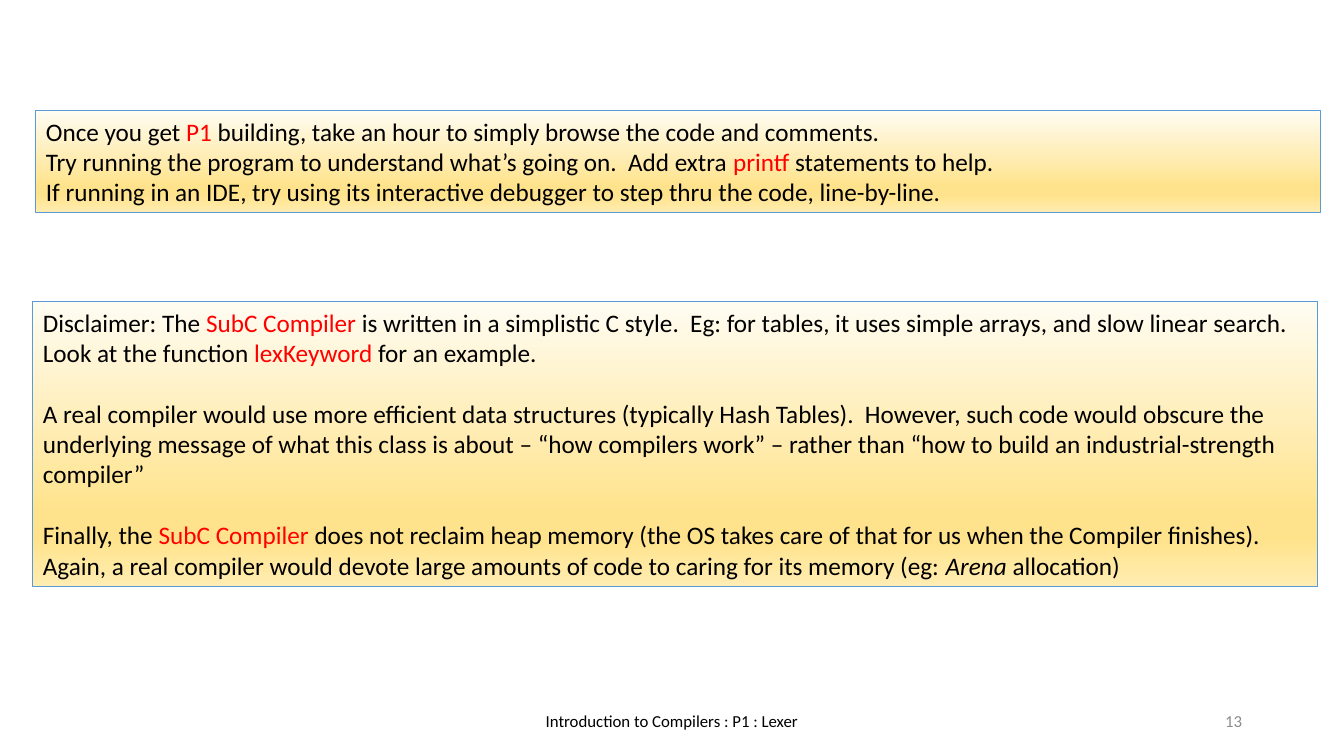
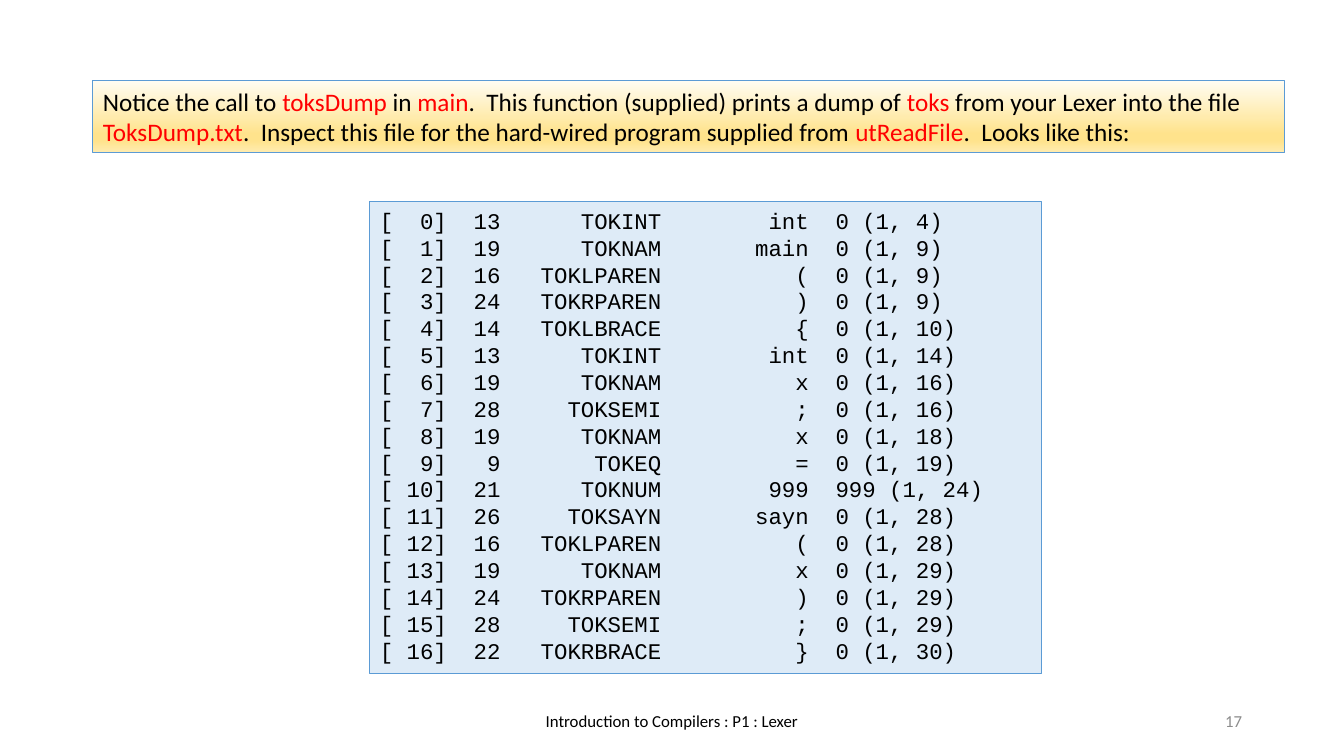
import collections
import lxml.etree
import pptx
import pptx.dml.color
import pptx.enum.shapes
import pptx.enum.text
import pptx.oxml.ns
import pptx.util

RGB = pptx.dml.color.RGBColor
ALIGN = pptx.enum.text.PP_ALIGN
ANCHOR = pptx.enum.text.MSO_ANCHOR
qn = pptx.oxml.ns.qn

BLACK = RGB(0x00, 0x00, 0x00)
RED = RGB(0xFF, 0x00, 0x00)
GREY = RGB(0x8C, 0x8C, 0x8C)
BLUE = RGB(0x5B, 0x9B, 0xD5)
PALE_BLUE = RGB(0xDE, 0xEB, 0xF7)
CREAM = RGB(0xFF, 0xFC, 0xF2)
GOLD = RGB(0xFF, 0xE3, 0x8C)
SAND = RGB(0xFF, 0xEC, 0xB2)
GOLD_STOPS = [(0, CREAM), (74, GOLD), (83, GOLD), (100, SAND)]
EMU_PER_PIXEL = 914400 / 100.8

Piece = collections.namedtuple("Piece", "text color italic", defaults=(BLACK, False))


def px(pixels):
    return pptx.util.Emu(round(pixels * EMU_PER_PIXEL))


def red(text):
    return Piece(text, RED)


class Deck:
    """Holds the presentation style and the slide being built."""

    BODY_FONT, CODE_FONT = "Calibri", "Courier New"
    BODY_SIZE, CODE_SIZE, FOOTER_SIZE = 18, 16, 12
    FOOTER = "Introduction to Compilers : P1 : Lexer"

    def __init__(self):
        self.prs = pptx.Presentation()
        self.prs.slide_width, self.prs.slide_height = px(1344), px(756)

    def new_slide(self, number):
        self.slide = self.prs.slides.add_slide(self.prs.slide_layouts[6])
        self.footer((445, 701, 454, 40), self.FOOTER, BLACK, ALIGN.CENTER)
        self.footer((950, 701, 302, 40), str(number), GREY, ALIGN.RIGHT)

    def style(self, run, font, size, color, italic=False):
        run.font.name, run.font.size = font, pptx.util.Pt(size)
        run.font.color.rgb = color
        run.font.italic = italic

    def footer(self, box, text, color, align):
        frame = self.slide.shapes.add_textbox(*map(px, box)).text_frame
        frame.word_wrap = True
        frame.vertical_anchor = ANCHOR.MIDDLE
        frame.text = text
        frame.paragraphs[0].alignment = align
        self.style(frame.paragraphs[0].runs[0], self.BODY_FONT, self.FOOTER_SIZE, color)

    def panel(self, box):
        panel = self.slide.shapes.add_shape(
            pptx.enum.shapes.MSO_SHAPE.RECTANGLE, *map(px, box))
        panel.shadow.inherit = False
        panel.line.color.rgb = BLUE
        panel.line.width = pptx.util.Pt(0.75)
        frame = panel.text_frame
        frame.word_wrap = True
        frame.auto_size = pptx.enum.text.MSO_AUTO_SIZE.SHAPE_TO_FIT_TEXT
        frame.vertical_anchor = ANCHOR.TOP
        return panel

    def gold_fill(self, panel):
        panel.fill.gradient()
        panel.fill.gradient_angle = 270
        stops = panel.element.spPr.find(qn("a:gradFill")).find(qn("a:gsLst"))
        for old in list(stops):
            stops.remove(old)
        for percent, color in GOLD_STOPS:
            stop = lxml.etree.SubElement(stops, qn("a:gs"), pos=str(percent * 1000))
            lxml.etree.SubElement(stop, qn("a:srgbClr"), val=str(color))

    def note(self, box, paragraphs, gap=0):
        panel = self.panel(box)
        self.gold_fill(panel)
        frame = panel.text_frame
        for index, pieces in enumerate(paragraphs):
            paragraph = frame.add_paragraph() if index else frame.paragraphs[0]
            paragraph.alignment = ALIGN.LEFT
            paragraph.space_before = pptx.util.Pt(gap if index else 0)
            for piece in pieces:
                piece = Piece(piece) if isinstance(piece, str) else piece
                run = paragraph.add_run()
                run.text = piece.text
                self.style(run, self.BODY_FONT, self.BODY_SIZE, piece.color, piece.italic)

    def listing(self, box, lines):
        panel = self.panel(box)
        panel.fill.solid()
        panel.fill.fore_color.rgb = PALE_BLUE
        panel.text_frame.text = "\n".join(lines)
        for paragraph in panel.text_frame.paragraphs:
            paragraph.alignment = ALIGN.LEFT
            self.style(paragraph.runs[0], self.CODE_FONT, self.CODE_SIZE, BLACK)


TOKENS = [
    (13, "INT", "int", 4), (19, "NAM", "main", 9), (16, "LPAREN", "(", 9),
    (24, "RPAREN", ")", 9), (14, "LBRACE", "{", 10), (13, "INT", "int", 14),
    (19, "NAM", "x", 16), (28, "SEMI", ";", 16), (19, "NAM", "x", 18),
    (9, "EQ", "=", 19), (21, "NUM", "999", 24), (26, "SAYN", "sayn", 28),
    (16, "LPAREN", "(", 28), (19, "NAM", "x", 29), (24, "RPAREN", ")", 29),
    (28, "SEMI", ";", 29), (22, "RBRACE", "}", 30),
]


def dump_line(index, code, kind, lexeme, column):
    value = lexeme if lexeme.isdigit() else 0
    return f"[{index:3}]  {code:2} {'TOK' + kind:>11} {lexeme:>10}  {value} (1, {column})"


deck = Deck()

deck.new_slide(13)
deck.note((36, 111, 1285, 102), [
    ["Once you get ", red("P1"),
     " building, take an hour to simply browse the code and comments."],
    ["Try running the program to understand what’s going on.  Add extra ",
     red("printf"), " statements to help."],
    ["If running in an IDE, try using its interactive debugger to step thru the code, "
     "line-by-line."],
])
deck.note((33, 302, 1285, 285), [
    ["Disclaimer: The ", red("SubC Compiler "),
     "is written in a simplistic C style.  Eg: for tables, it uses simple arrays, "
     "and slow linear search.  Look at the function ",
     red("lexKeyword "), "for an example."],
    ["A real compiler would use more efficient data structures (typically Hash Tables).  "
     "However, such code would obscure the underlying message of what this class is about "
     "– “how compilers work” – rather than “how to build an industrial-strength compiler”"],
    ["Finally, the ", red("SubC Compiler "),
     "does not reclaim heap memory (the OS takes care of that for us when the Compiler "
     "finishes).  Again, a real compiler would devote large amounts of code to caring for "
     "its memory (eg: ", Piece("Arena ", italic=True), "allocation)"],
], gap=22)

deck.new_slide(17)
deck.note((93, 81, 1192, 72), [
    ["Notice the call to ", red("toksDump "), "in ", red("main"),
     ".  This function (supplied) prints a dump of ", red("toks"),
     " from your Lexer into the file ", red("ToksDump.txt"),
     ".  Inspect this file for the hard-wired program supplied from ",
     red("utReadFile"), ".  Looks like this:"],
])
deck.listing((370, 202, 672, 472),
             [dump_line(index, *token) for index, token in enumerate(TOKENS)])

deck.prs.save("out.pptx")
